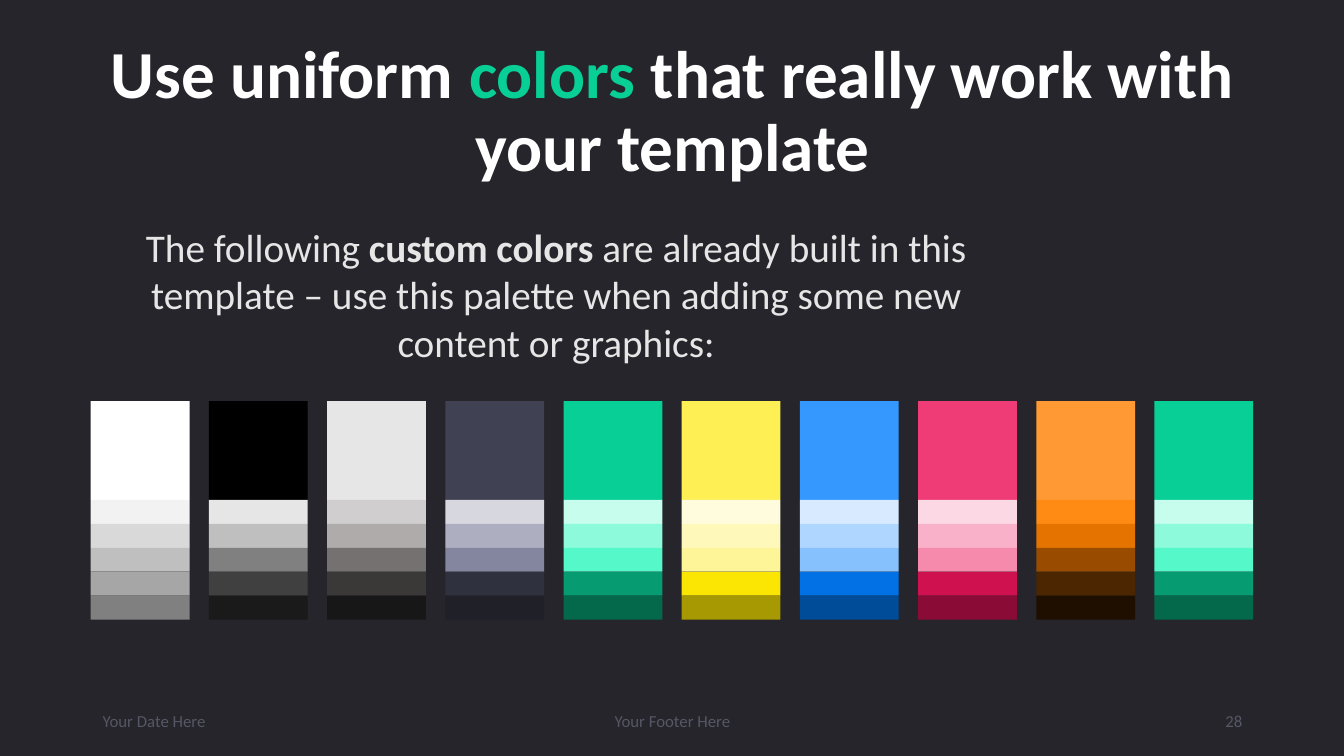
from pptx import Presentation
from pptx.dml.color import RGBColor
from pptx.enum.shapes import MSO_SHAPE
from pptx.enum.text import MSO_ANCHOR, PP_ALIGN
from pptx.util import Inches, Pt

FONT = "Calibri"
DARK = RGBColor(0x25, 0x25, 0x2B)
WHITE = RGBColor(0xFF, 0xFF, 0xFF)
GREEN = RGBColor(0x08, 0xCF, 0x96)
LIGHT = RGBColor(0xE7, 0xE6, 0xE6)
MUTED = RGBColor(0x57, 0x57, 0x65)

GREENS = "08CF96 C6FDED 8DFBDB 55F8C9 069B71 04684B"
ROWS = [
    "FFFFFF F2F2F2 D9D9D9 BFBFBF A6A6A6 808080",
    "000000 E6E6E6 BFBFBF 808080 404040 1A1A1A",
    "E7E6E6 D0CECE AFABAB 767171 3B3838 181717",
    "404152 D6D7DF ADAEBF 84869F 30313E 202029",
    GREENS,
    "FDEF54 FFFCDD FEF9BB FEF598 FAE503 A79902",
    "3598FE D7EAFF AED6FF 86C1FE 0171E5 014C99",
    "EF3C77 FCD8E4 F9B1C9 F58AAD CF1150 8A0B35",
    "FF9933 FF8A14 E57300 994C00 4C2600 1F0F00",
    GREENS,
]
PALETTE = [[RGBColor.from_string(code) for code in row.split()] for row in ROWS]

LEFT, TOP = 0.9, 3.98
SIDE = 0.98
PITCH = (11.45 - LEFT) / (len(PALETTE) - 1)
STRIP = 0.95 / 4


def add_text(slide, box, texts, size, color, align, anchor=MSO_ANCHOR.MIDDLE):
    frame = slide.shapes.add_textbox(*map(Inches, box)).text_frame
    frame.word_wrap = True
    frame.vertical_anchor = anchor
    para = frame.paragraphs[0]
    para.alignment = align
    para.font.name = FONT
    para.font.size = Pt(size)
    para.font.color.rgb = color
    for text in texts:
        para.add_run().text = text
    return para


def add_block(group, left, top, height, color):
    block = group.shapes.add_shape(
        MSO_SHAPE.RECTANGLE, Inches(left), Inches(top), Inches(SIDE), Inches(height)
    )
    block.shadow.inherit = False
    block.fill.solid()
    block.fill.fore_color.rgb = color
    block.line.fill.background()


def add_swatch(group, left, colors):
    main_color, *tints = colors
    add_block(group, left, TOP, SIDE, main_color)
    for row, tint in enumerate(tints):
        add_block(group, left, TOP + SIDE + row * STRIP, STRIP, tint)


def add_title(slide):
    texts = ["Use uniform ", "colors", " that really work with your template"]
    para = add_text(slide, (0.92, 0.4, 11.5, 1.45), texts, 48, WHITE, PP_ALIGN.CENTER)
    para.line_spacing = 0.9
    para.font.bold = True
    para.runs[1].font.color.rgb = GREEN


def add_intro(slide):
    texts = [
        "The following ",
        "custom colors ",
        "are already built in this template – use this palette "
        "when adding some new content or graphics:",
    ]
    para = add_text(
        slide, (0.92, 2.17, 9.19, 1.5), texts, 28, LIGHT, PP_ALIGN.CENTER, MSO_ANCHOR.TOP
    )
    para.runs[1].font.bold = True


def add_footer(slide):
    for left, width, text, align in [
        (0.92, 3, "Your Date Here", PP_ALIGN.LEFT),
        (4.42, 4.5, "Your Footer Here", PP_ALIGN.CENTER),
        (9.42, 3, "28", PP_ALIGN.RIGHT),
    ]:
        add_text(slide, (left, 6.95, width, 0.4), [text], 12, MUTED, align)


def main():
    deck = Presentation()
    deck.slide_width = Inches(13.33)
    deck.slide_height = Inches(7.5)
    slide = deck.slides.add_slide(deck.slide_layouts[6])
    slide.background.fill.solid()
    slide.background.fill.fore_color.rgb = DARK
    add_title(slide)
    add_intro(slide)
    group = slide.shapes.add_group_shape()
    for col, colors in enumerate(PALETTE):
        add_swatch(group, LEFT + col * PITCH, colors)
    add_footer(slide)
    deck.save("out.pptx")


if __name__ == "__main__":
    main()
